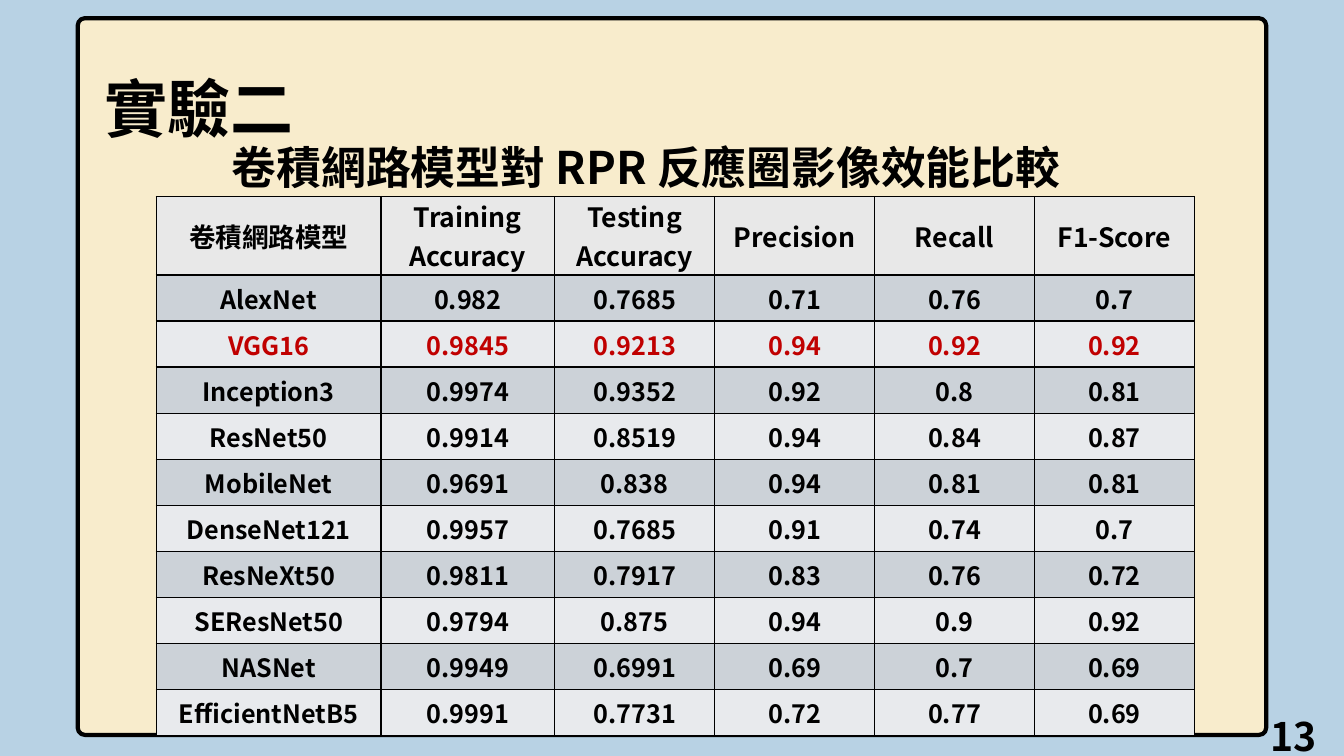
from lxml import etree
from pptx import Presentation
from pptx.dml.color import RGBColor
from pptx.enum import shapes, text
from pptx.oxml import ns
from pptx.util import Cm, Pt

COLORS = {
    "background": "B8D2E4",
    "panel": "F8ECCC",
    "ink": "000000",
    "highlight": "C00000",
    "header": "E8E8E8",
    "odd_row": "CCD2D8",
    "even_row": "E8EAED",
}
CJK_FONT = "Noto Sans CJK TC"
HEADERS = ["卷積網路模型", "Training\nAccuracy", "Testing\nAccuracy",
           "Precision", "Recall", "F1-Score"]
RESULTS = [
    ["AlexNet", "0.982", "0.7685", "0.71", "0.76", "0.7"],
    ["VGG16", "0.9845", "0.9213", "0.94", "0.92", "0.92"],
    ["Inception3", "0.9974", "0.9352", "0.92", "0.8", "0.81"],
    ["ResNet50", "0.9914", "0.8519", "0.94", "0.84", "0.87"],
    ["MobileNet", "0.9691", "0.838", "0.94", "0.81", "0.81"],
    ["DenseNet121", "0.9957", "0.7685", "0.91", "0.74", "0.7"],
    ["ResNeXt50", "0.9811", "0.7917", "0.83", "0.76", "0.72"],
    ["SEResNet50", "0.9794", "0.875", "0.94", "0.9", "0.92"],
    ["NASNet", "0.9949", "0.6991", "0.69", "0.7", "0.69"],
    ["EfficientNetB5", "0.9991", "0.7731", "0.72", "0.77", "0.69"],
]
BEST_MODEL = "VGG16"
COLUMN_WIDTHS = [5.66, 4.38] + [4.03] * 4
HEADER_HEIGHT, ROW_HEIGHT = 1.98, 1.16


def rgb(name):
    return RGBColor.from_string(COLORS[name])


def write_text(frame, content, size, font=CJK_FONT, color="ink",
               align=text.PP_ALIGN.LEFT):
    """Fill a text frame with bold text, one paragraph per line."""
    frame.text = content
    for paragraph in frame.paragraphs:
        paragraph.alignment = align
        for run in paragraph.runs:
            run.font.name = font
            run.font.size = Pt(size)
            run.font.bold = True
            run.font.color.rgb = rgb(color)
            east_asian = etree.SubElement(run.font._element, ns.qn("a:ea"))
            east_asian.set("typeface", CJK_FONT)


def add_panel(slide, left, top, width, height):
    panel = slide.shapes.add_shape(shapes.MSO_SHAPE.ROUNDED_RECTANGLE,
                                   Cm(left), Cm(top), Cm(width), Cm(height))
    panel.adjustments[0] = 0.01
    panel.shadow.inherit = False
    panel.fill.solid()
    panel.fill.fore_color.rgb = rgb("panel")
    panel.line.color.rgb = rgb("ink")
    panel.line.width = Pt(3)


def place_title(slide, content, left, top, width, height):
    title = slide.shapes.title
    title.left, title.top = Cm(left), Cm(top)
    title.width, title.height = Cm(width), Cm(height)
    frame = title.text_frame
    frame.vertical_anchor = text.MSO_ANCHOR.TOP
    frame.auto_size = text.MSO_AUTO_SIZE.NONE
    write_text(frame, content, 45, font="Lato")
    frame.paragraphs[0].line_spacing = 1.0
    frame.paragraphs[0].space_before = Pt(0)


def add_label(slide, content, left, top, width, height, size, **text_format):
    box = slide.shapes.add_textbox(Cm(left), Cm(top), Cm(width), Cm(height))
    box.text_frame.word_wrap = True
    write_text(box.text_frame, content, size, **text_format)
    return box.text_frame


def draw_borders(cell):
    properties = cell._tc.get_or_add_tcPr()
    for side in ("lnL", "lnR", "lnT", "lnB"):
        line = etree.SubElement(properties, ns.qn(f"a:{side}"), w=str(Pt(1)))
        fill = etree.SubElement(line, ns.qn("a:solidFill"))
        etree.SubElement(fill, ns.qn("a:srgbClr"), val=COLORS["ink"])


def format_cell(cell, content, fill, size, margin, color="ink"):
    draw_borders(cell)
    cell.fill.solid()
    cell.fill.fore_color.rgb = rgb(fill)
    cell.vertical_anchor = text.MSO_ANCHOR.MIDDLE
    cell.margin_left = cell.margin_right = Cm(0.13)
    cell.margin_top = cell.margin_bottom = Cm(margin)
    write_text(cell.text_frame, content, size, color=color,
               align=text.PP_ALIGN.CENTER)


def add_results_table(slide, left, top):
    row_heights = [HEADER_HEIGHT] + [ROW_HEIGHT] * len(RESULTS)
    table = slide.shapes.add_table(
        len(row_heights), len(HEADERS), Cm(left), Cm(top),
        Cm(sum(COLUMN_WIDTHS)), Cm(sum(row_heights))).table
    for column, width in zip(table.columns, COLUMN_WIDTHS):
        column.width = Cm(width)
    for row, height in zip(table.rows, row_heights):
        row.height = Cm(height)
    for cell, header in zip(table.rows[0].cells, HEADERS):
        format_cell(cell, header, "header", size=19, margin=0)
    for index, values in enumerate(RESULTS, start=1):
        fill = "odd_row" if index % 2 else "even_row"
        color = "highlight" if values[0] == BEST_MODEL else "ink"
        for cell, value in zip(table.rows[index].cells, values):
            format_cell(cell, value, fill, size=18, margin=0.11, color=color)


def main():
    presentation = Presentation()
    presentation.slide_width, presentation.slide_height = Cm(33.87), Cm(19.05)
    slide = presentation.slides.add_slide(presentation.slide_layouts[5])
    slide.background.fill.solid()
    slide.background.fill.fore_color.rgb = rgb("background")

    add_panel(slide, 1.96, 0.46, 29.95, 18.06)
    # The title comes first in the layout, so it is raised above the panel.
    slide.shapes._spTree.append(slide.shapes.title._element)
    place_title(slide, "實驗二", 2.39, 1.63, 7.62, 2.18)
    page_number = add_label(slide, "13", 26.24, 18.03, 7.62, 1.02, size=28,
                            align=text.PP_ALIGN.RIGHT)
    page_number.vertical_anchor = text.MSO_ANCHOR.MIDDLE
    page_number.margin_right = Cm(0.69)
    add_results_table(slide, 3.94, 4.95)
    add_label(slide, "卷積網路模型對 RPR 反應圈影像效能比較",
              5.59, 3.4, 22.73, 1.63, size=32)
    presentation.save("out.pptx")


if __name__ == "__main__":
    main()
